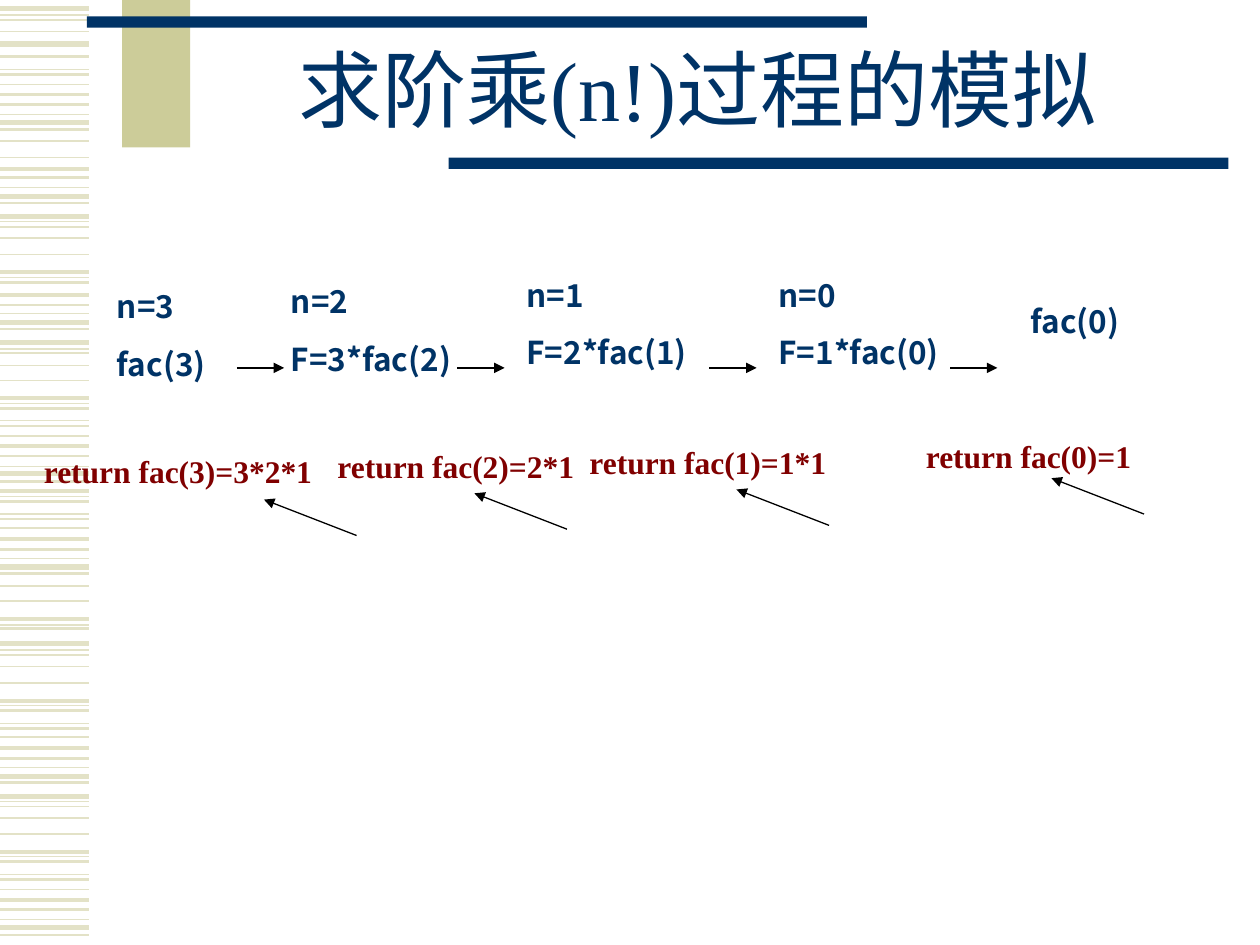
from dataclasses import dataclass

from lxml.etree import SubElement
from pptx import Presentation
from pptx.dml.color import RGBColor
from pptx.enum.shapes import MSO_CONNECTOR as Connector, MSO_SHAPE as Shape
from pptx.enum.text import MSO_ANCHOR as Anchor, MSO_AUTO_SIZE as AutoSize, PP_ALIGN as Align
from pptx.oxml.ns import qn
from pptx.util import Inches, Pt

COLORS = {
    "navy": "003366",
    "khaki": "CCCC99",
    "stripe": "E3E2C7",
    "maroon": "800000",
    "black": "000000",
}
SERIF = "Times New Roman"
SANS = "Noto Sans CJK SC"
WIDTH, HEIGHT = Inches(10), Inches(7.5)
COLUMNS, ROWS = 1000, 750


@dataclass(frozen=True)
class Box:
    column: float
    row: float
    columns: float
    rows: float

    def lengths(self) -> tuple[int, int, int, int]:
        return (
            across(self.column),
            down(self.row),
            across(self.columns),
            down(self.rows),
        )


@dataclass(frozen=True)
class Style:
    font: str
    color: str
    size: float = 18
    bold: bool = True


@dataclass(frozen=True)
class Label:
    box: Box
    lines: tuple[str, ...]
    style: Style


@dataclass(frozen=True)
class Line:
    start: tuple[float, float]
    end: tuple[float, float]
    color: str = "black"
    weight: float = 0.75
    arrow: bool = True


CALL = Style(SANS, "navy")
RETURN = Style(SERIF, "maroon")
TITLE = Style(SERIF, "navy", 48, False)

STRIPE_ROWS = {
    0.75: (12, 55, 91, 149, 176, 220, 249, 277, 320, 334, 370, 394, 408, 443,
           496, 516, 560, 574, 609, 636, 680, 694, 730),
    1: (16, 25, 67, 112, 125, 180, 189, 202, 280, 290, 302, 346, 419, 465,
        477, 520, 529, 542, 585, 640, 649, 662, 706),
    1.5: (45, 59, 83, 103, 141, 161, 224, 242, 261, 324, 338, 362, 382, 398,
          412, 436, 455, 499, 564, 578, 602, 621, 684, 698, 722, 742),
    2.25: (75, 134, 216, 234, 316, 354, 390, 428, 491, 556, 594, 676, 714),
    3: (7, 35, 97, 156, 172, 256, 272, 376, 450, 511, 616, 632, 736),
}
BARS = (
    (Box(97, -1, 54, 118), "khaki"),
    (Box(69, 13, 619, 9), "navy"),
    (Box(356, 125, 619, 9), "navy"),
)
CALL_ARROW_COLUMNS = (188, 363, 563, 754)
RETURN_ARROW_STARTS = ((908, 408), (658, 417), (450, 420), (283, 425))
LABELS = (
    Label(Box(83, 223, 133, 86), ("n=3", "fac(3)"), CALL),
    Label(Box(221, 219, 175, 86), ("n=2", "F=3*fac(2)"), CALL),
    Label(Box(408, 214, 175, 86), ("n=1", "F=2*fac(1)"), CALL),
    Label(Box(608, 214, 175, 86), ("n=0", "F=1*fac(0)"), CALL),
    Label(Box(808, 235, 175, 40), ("fac(0)",), CALL),
    Label(Box(25, 354, 258, 40), ("return fac(3)=3*2*1",), RETURN),
    Label(Box(258, 350, 258, 40), ("return fac(2)=2*1",), RETURN),
    Label(Box(458, 347, 258, 40), ("return fac(1)=1*1",), RETURN),
    Label(Box(725, 342, 258, 40), ("return fac(0)=1",), RETURN),
)


def across(columns: float) -> int:
    return round(WIDTH * columns / COLUMNS)


def down(rows: float) -> int:
    return round(HEIGHT * rows / ROWS)


def rgb(color: str) -> RGBColor:
    return RGBColor.from_string(COLORS[color])


def draw_line(slide, line: Line) -> None:
    connector = slide.shapes.add_connector(
        Connector.STRAIGHT,
        across(line.start[0]), down(line.start[1]),
        across(line.end[0]), down(line.end[1]),
    )
    connector.line.color.rgb = rgb(line.color)
    connector.line.width = Pt(line.weight)
    if line.arrow:
        SubElement(connector.line._get_or_add_ln(), qn("a:tailEnd"), type="triangle")
    SubElement(connector._element.spPr, qn("a:effectLst"))


def draw_bar(slide, box: Box, color: str) -> None:
    shape = slide.shapes.add_shape(Shape.RECTANGLE, *box.lengths())
    shape.shadow.inherit = False
    shape.fill.solid()
    shape.fill.fore_color.rgb = rgb(color)
    shape.line.fill.background()


def add_run(paragraph, text: str, style: Style) -> None:
    run = paragraph.add_run()
    run.text = text
    run.font.name = style.font
    run.font.size = Pt(style.size)
    run.font.bold = style.bold
    run.font.color.rgb = rgb(style.color)
    SubElement(run.font._element, qn("a:ea"), typeface=SANS)


def draw_label(slide, label: Label) -> None:
    frame = slide.shapes.add_textbox(*label.box.lengths()).text_frame
    frame.word_wrap = True
    frame.auto_size = AutoSize.SHAPE_TO_FIT_TEXT
    for index, text in enumerate(label.lines):
        paragraph = frame.add_paragraph() if index else frame.paragraphs[0]
        paragraph.space_before = Pt(11.2)
        add_run(paragraph, text, label.style)


def draw_title(slide, box: Box, text: str) -> None:
    frame = slide.shapes.add_textbox(*box.lengths()).text_frame
    frame.word_wrap = True
    frame.vertical_anchor = Anchor.MIDDLE
    paragraph = frame.paragraphs[0]
    paragraph.alignment = Align.CENTER
    paragraph.line_spacing = 0.85
    add_run(paragraph, text, TITLE)


def main() -> None:
    presentation = Presentation()
    presentation.slide_width, presentation.slide_height = WIDTH, HEIGHT
    slide = presentation.slides.add_slide(presentation.slide_layouts[6])

    for weight, rows in STRIPE_ROWS.items():
        for row in rows:
            draw_line(slide, Line((0, row), (71, row), "stripe", weight, False))
    for box, color in BARS:
        draw_bar(slide, box, color)
    draw_title(slide, Box(150, 26, 807, 100), "求阶乘(n!)过程的模拟")
    for column in CALL_ARROW_COLUMNS:
        draw_line(slide, Line((column, 292), (column + 37.5, 292)))
    for column, row in RETURN_ARROW_STARTS:
        draw_line(slide, Line((column, row), (column - 73.5, row - 28.5)))
    for label in LABELS:
        draw_label(slide, label)

    presentation.save("out.pptx")


if __name__ == "__main__":
    main()
